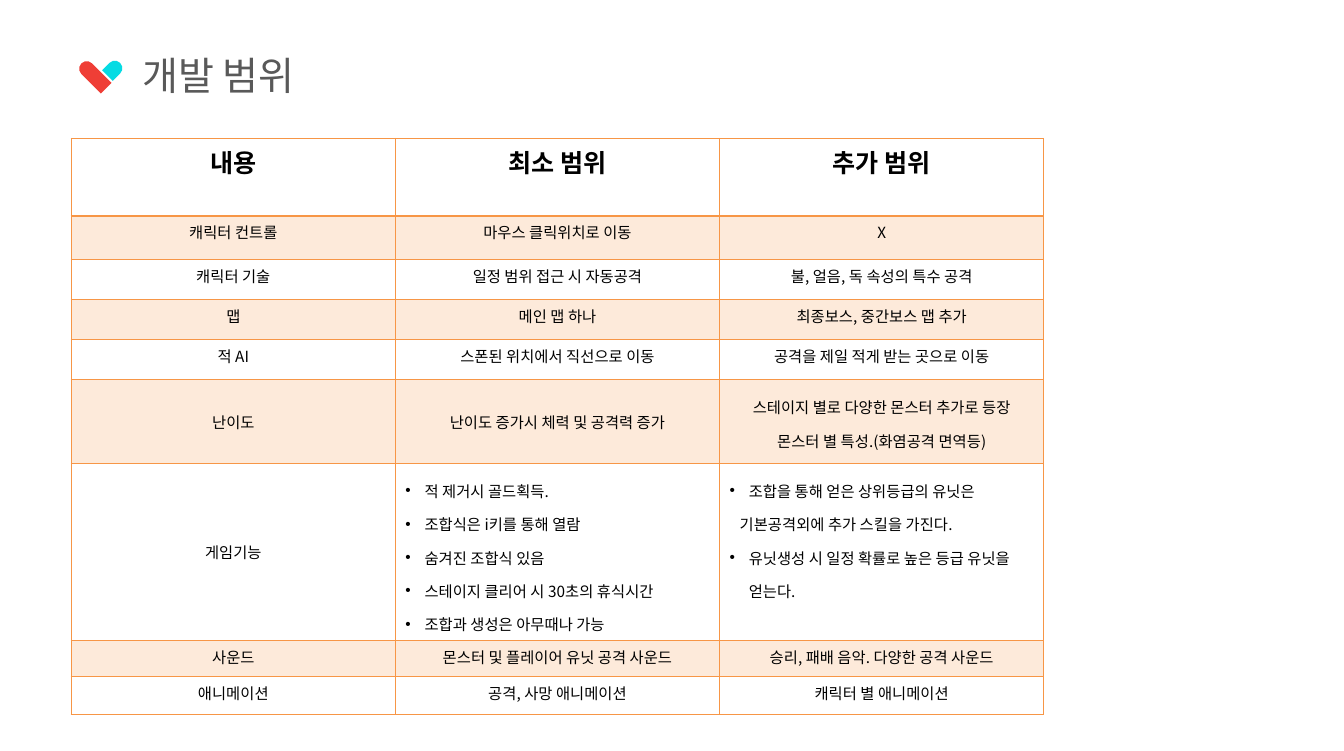
from lxml.etree import SubElement
from pptx import Presentation
from pptx.dml.color import RGBColor
from pptx.enum.shapes import MSO_SHAPE
from pptx.enum.text import MSO_ANCHOR, MSO_AUTO_SIZE, PP_ALIGN
from pptx.oxml.ns import qn
from pptx.util import Inches, Pt

WIDE, HIGH = Inches(13.39), Inches(7.48)
FONT = "Noto Sans CJK KR"
HUES = {"title": "595959", "text": "000000", "line": "F79646",
        "red": "EF3E36", "cyan": "05DBE3"}
HEADS = ["내용", "최소 범위", "추가 범위"]
BODY = [
    ["캐릭터 컨트롤", "마우스 클릭위치로 이동", "X"],
    ["캐릭터 기술", "일정 범위 접근 시 자동공격", "불, 얼음, 독 속성의 특수 공격"],
    ["맵", "메인 맵 하나", "최종보스, 중간보스 맵 추가"],
    ["적 AI", "스폰된 위치에서 직선으로 이동", "공격을 제일 적게 받는 곳으로 이동"],
    ["난이도", "난이도 증가시 체력 및 공격력 증가",
     ["스테이지 별로 다양한 몬스터 추가로 등장", "몬스터 별 특성.(화염공격 면역등)"]],
    ["게임기능",
     ["• 적 제거시 골드획득.", "• 조합식은 i키를 통해 열람", "• 숨겨진 조합식 있음",
      "• 스테이지 클리어 시 30초의 휴식시간", "• 조합과 생성은 아무때나 가능"],
     ["• 조합을 통해 얻은 상위등급의 유닛은", "기본공격외에 추가 스킬을 가진다.",
      "• 유닛생성 시 일정 확률로 높은 등급 유닛을 얻는다."]],
    ["사운드", "몬스터 및 플레이어 유닛 공격 사운드", "승리, 패배 음악. 다양한 공격 사운드"],
    ["애니메이션", "공격, 사망 애니메이션", "캐릭터 별 애니메이션"],
]
ROWS = [77, 43, 40, 40, 40, 83, 154, 36, 38]
TALL = (5, 6)


def share(x, y, w, h):
    """Turn percentages of the slide into a box of lengths."""
    return [int(side * part / 100)
            for side, part in zip((WIDE, HIGH, WIDE, HIGH), (x, y, w, h))]


def hue(name):
    """Look up a colour of the slide."""
    return RGBColor.from_string(HUES[name])


def write(para, text, size, tone, bold=False):
    """Add one formatted run to a paragraph."""
    run = para.add_run()
    run.text = text
    run.font.size = Pt(size)
    run.font.bold = bold
    run.font.color.rgb = hue(tone)
    run.font.name = FONT
    SubElement(run.font._element, qn("a:ea"), typeface=FONT)


def indent(para, left, hang=0, mark=None):
    """Indent a paragraph and give it a bullet if there is a mark."""
    props = para._p.get_or_add_pPr()
    props.set("marL", str(Inches(left)))
    props.set("indent", str(-Inches(hang)))
    if mark:
        SubElement(props, qn("a:buFont"), typeface="Arial")
        SubElement(props, qn("a:buChar"), char=mark)


def edge(cell, row):
    """Draw the four borders of a cell, heavier under the header."""
    props = cell._tc.get_or_add_tcPr()
    for side in "LRTB":
        thick = (row, side) in ((0, "B"), (1, "T"))
        line = SubElement(props, qn(f"a:ln{side}"), w=str(Pt(2 if thick else 1)))
        fill = SubElement(line, qn("a:solidFill"))
        SubElement(fill, qn("a:srgbClr"), val=HUES["line"])


def tint(cell, row):
    """Shade every second row with a clear orange."""
    if row % 2 == 0:
        cell.fill.background()
        return
    cell.fill.solid()
    cell.fill.fore_color.rgb = hue("line")
    tone = cell._tc.tcPr.find(".//" + qn("a:solidFill") + "[last()]")
    tone = cell._tc.tcPr.find(qn("a:solidFill") + "/" + qn("a:srgbClr"))
    SubElement(tone, qn("a:alpha"), val="20000")


def fill_cell(cell, row, item):
    """Write a cell of centred lines or of a bullet list."""
    edge(cell, row)
    tint(cell, row)
    lines = [item] if isinstance(item, str) else item
    listed = lines[0].startswith("•")
    if row in TALL and len(lines) == 1:
        cell.vertical_anchor = MSO_ANCHOR.MIDDLE
    frame = cell.text_frame
    for num, text in enumerate(lines):
        para = frame.add_paragraph() if num else frame.paragraphs[0]
        para.alignment = PP_ALIGN.LEFT if listed else PP_ALIGN.CENTER
        if len(lines) > 1:
            para.line_spacing = 1.5
        if text.startswith("•"):
            indent(para, 0.19, 0.19, "•")
        elif listed:
            indent(para, 0.1)
        write(para, text.removeprefix("• "), 11 if row else 18, "text", row == 0)


def add_grid(slide, box):
    """Place the scope table in its box."""
    x, y, w, h = box
    data = [HEADS] + BODY
    table = slide.shapes.add_table(len(data), len(HEADS), x, y, w, h).table
    table.first_row = table.horz_banding = False
    for col in table.columns:
        col.width = w // len(HEADS)
    for row, items in enumerate(data):
        table.rows[row].height = h * ROWS[row] // sum(ROWS)
        for col, item in enumerate(items):
            fill_cell(table.cell(row, col), row, item)


def add_heart(slide, box):
    """Place the two tilted bars of the heart in a box."""
    x, y, w, h = box
    bars = [(0, 0, 0.43, 1, 315, "red"), (0.57, 0.06, 0.43, 0.51, 45, "cyan")]
    for left, top, wide, high, turn, tone in bars:
        bar = slide.shapes.add_shape(
            MSO_SHAPE.ROUND_2_SAME_RECTANGLE, x + int(w * left),
            y + int(h * top), int(w * wide), int(h * high))
        bar.adjustments[0] = 0.5
        bar.adjustments[1] = 0
        bar.rotation = turn
        bar.shadow.inherit = False
        bar.fill.solid()
        bar.fill.fore_color.rgb = hue(tone)
        bar.line.fill.background()


def add_title(slide, box):
    """Move the title to its box and write it."""
    title = slide.shapes.title
    title.left, title.top, title.width, title.height = box
    frame = title.text_frame
    frame.margin_left = frame.margin_right = 0
    frame.margin_top = frame.margin_bottom = 0
    frame.auto_size = MSO_AUTO_SIZE.NONE
    frame.vertical_anchor = MSO_ANCHOR.MIDDLE
    para = frame.paragraphs[0]
    para.alignment = PP_ALIGN.LEFT
    write(para, "개발 범위", 28, "title")


def main():
    """Build the slide and save it."""
    deck = Presentation()
    deck.slide_width, deck.slide_height = WIDE, HIGH
    slide = deck.slides.add_slide(deck.slide_layouts[5])
    add_heart(slide, share(6.42, 7.75, 2.61, 4.68))
    add_title(slide, share(10.6, 6.82, 15.31, 6.28))
    add_grid(slide, share(5.3, 18.45, 72.37, 73.8))
    deck.save("out.pptx")


if __name__ == "__main__":
    main()
